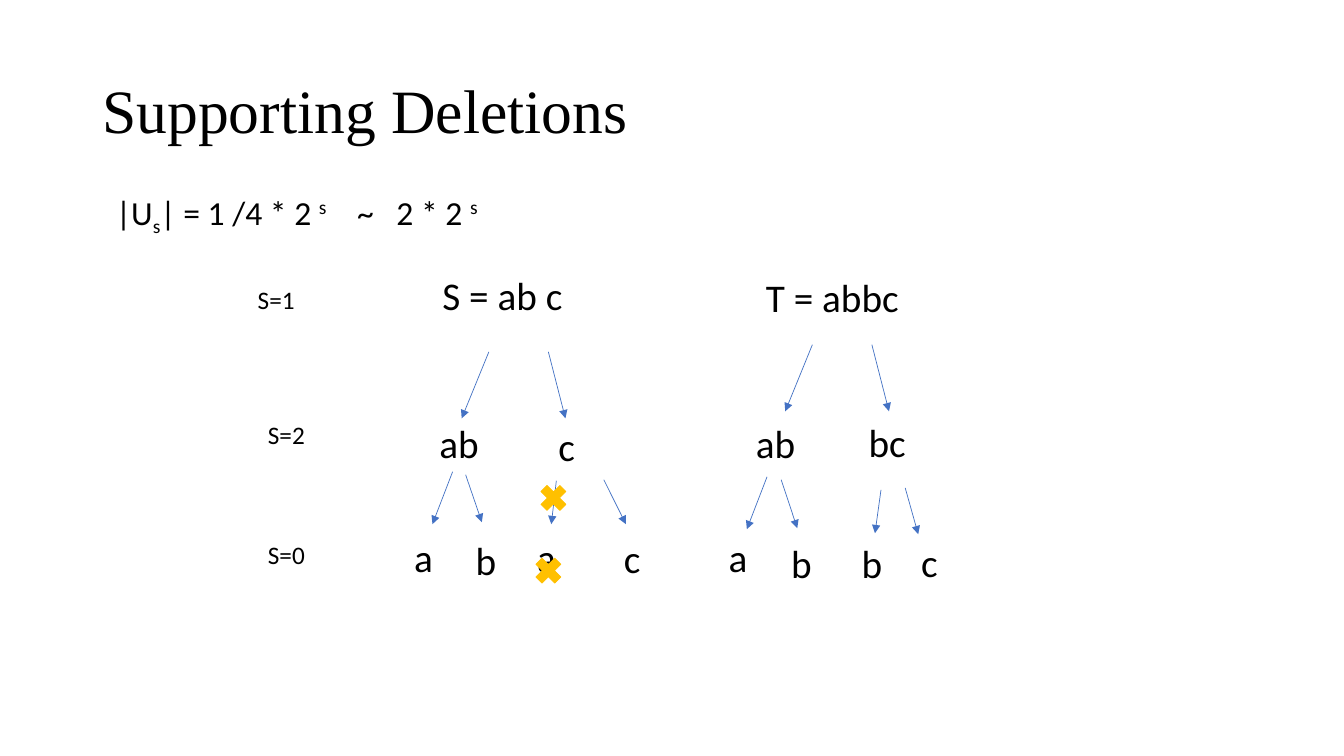
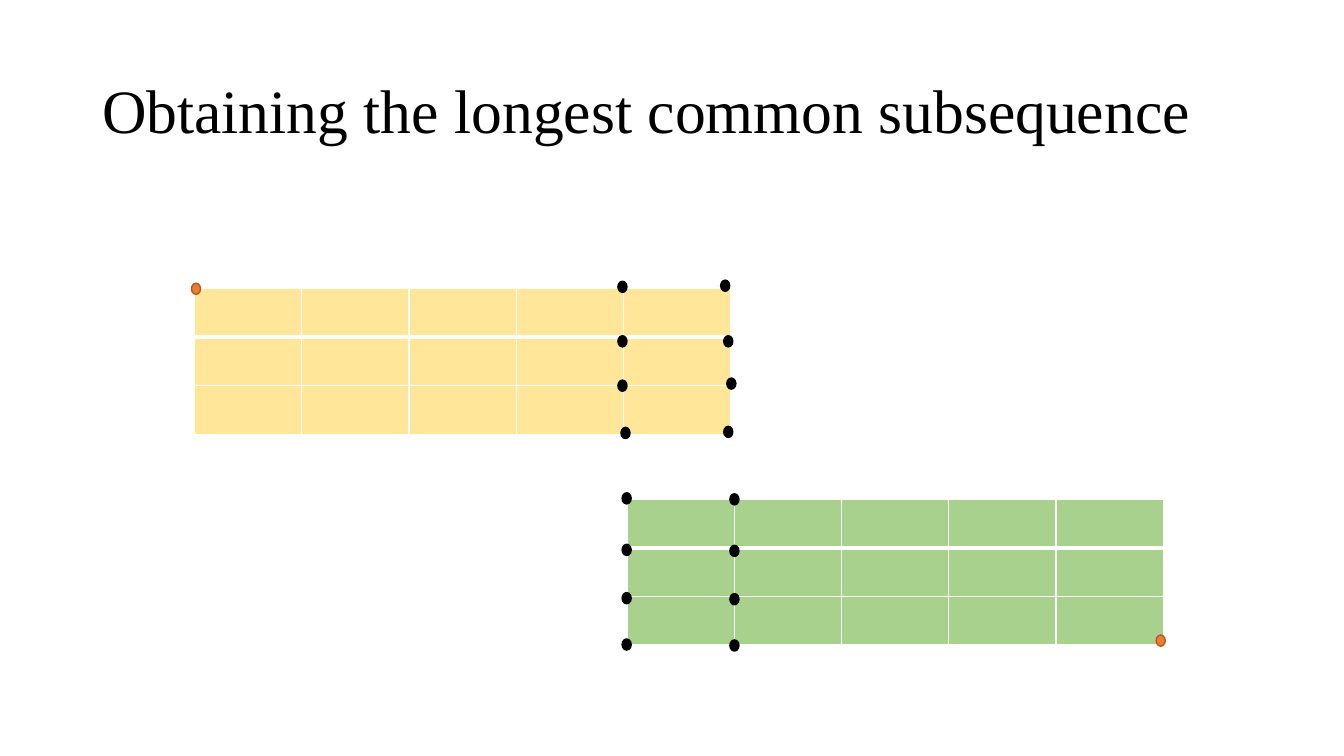
from lxml import etree
from pptx import Presentation
from pptx.dml.color import RGBColor
from pptx.enum.shapes import MSO_CONNECTOR, MSO_SHAPE
from pptx.enum.text import MSO_ANCHOR
from pptx.oxml.ns import qn
from pptx.util import Pt

BLACK = RGBColor(0x00, 0x00, 0x00)
WHITE = RGBColor(0xFF, 0xFF, 0xFF)
BLUE = RGBColor(0x44, 0x72, 0xC4)
GOLD = RGBColor(0xFF, 0xC0, 0x00)
CREAM = RGBColor(0xFF, 0xE6, 0x99)
GREEN = RGBColor(0xA9, 0xD1, 0x8E)
ORANGE = RGBColor(0xED, 0x7D, 0x31)
RUST = RGBColor(0xAF, 0x5C, 0x24)

STRAIGHT = MSO_CONNECTOR.STRAIGHT
CROSS = MSO_SHAPE.MATH_MULTIPLY
OVAL = MSO_SHAPE.OVAL
TOP, MIDDLE = MSO_ANCHOR.TOP, MSO_ANCHOR.MIDDLE

TITLE_FONT, BODY_FONT = "Times New Roman", "Calibri"
BLANK_LAYOUT = 6
COLUMNS, ROWS = 5, 3
COLUMN_WIDTH, ROW_HEIGHT = 76.6, 34.8
DOT_WIDTH, DOT_HEIGHT = 6.5, 8
CROSS_SIZE = 26


# Shared parts
def add_text(page, left, top, width, height, spans, size, font=BODY_FONT,
             anchor=TOP, tabs=()):
    """Place one paragraph; spans are (text, baseline percent) pairs."""
    box = page.shapes.add_textbox(Pt(left), Pt(top), Pt(width), Pt(height))
    frame = box.text_frame
    frame.word_wrap = True
    frame.vertical_anchor = anchor
    para = frame.paragraphs[0]
    if tabs:
        tab_list = etree.SubElement(para._p.get_or_add_pPr(), qn("a:tabLst"))
        for position in tabs:
            etree.SubElement(tab_list, qn("a:tab"), pos=str(Pt(position)), algn="l")
    for text, baseline in spans:
        span = para.add_run()
        span.text = text
        if baseline:
            span._r.get_or_add_rPr().set("baseline", str(baseline * 1000))
    para.font.name = font
    para.font.size = Pt(size)
    para.font.color.rgb = BLACK
    return para


def add_label(page, left, top, text, size=28, width=60):
    add_text(page, left, top, width, size * 1.2 + 7.2, [(text, 0)], size)


def add_mark(page, kind, left, top, width, height, fill, line, weight):
    mark = page.shapes.add_shape(kind, Pt(left), Pt(top), Pt(width), Pt(height))
    mark.shadow.inherit = False
    mark.fill.solid()
    mark.fill.fore_color.rgb = fill
    mark.line.color.rgb = line
    mark.line.width = Pt(weight)


def add_arrow(page, x1, y1, x2, y2):
    arrow = page.shapes.add_connector(STRAIGHT, Pt(x1), Pt(y1), Pt(x2), Pt(y2))
    arrow.line.color.rgb = BLUE
    arrow.line.width = Pt(0.5)
    etree.SubElement(arrow.line._get_or_add_ln(), qn("a:tailEnd"), type="triangle")
    etree.SubElement(arrow._element.spPr, qn("a:effectLst"))


def add_page(deck, title):
    page = deck.slides.add_slide(deck.slide_layouts[BLANK_LAYOUT])
    para = add_text(page, 66, 28.8, 828, 104.4, [(title, 0)], 44, TITLE_FONT, MIDDLE)
    para.line_spacing = 0.9
    return page


# Tree of substrings: all places are relative to its left and top
def add_tree(page, left, top, root, nodes, arrows, crosses=()):
    x, y, text = root
    add_label(page, left + x, top + y, text, width=140)
    for x, y, text in nodes:
        add_label(page, left + x, top + y, text)
    for x1, y1, x2, y2 in arrows:
        add_arrow(page, left + x1, top + y1, left + x2, top + y2)
    for x, y in crosses:
        add_mark(page, CROSS, left + x, top + y, CROSS_SIZE, CROSS_SIZE, GOLD, GOLD, 0.5)


def build_deletions(deck):
    page = add_page(deck, "Supporting Deletions")
    formula = [("|U", 0), ("s", -25), ("| = 1 /4 * 2 ", 0), ("s", 30),
               ("\t~\t2 * 2 ", 0), ("s", 30)]
    add_text(page, 75.6, 133.2, 480, 36, formula, 24, tabs=(172.5, 200.5))

    # Level names
    for x, y, text in [(177, 199.4, "S=1"), (184.3, 296, "S=2"), (184.3, 381.6, "S=0")]:
        add_label(page, x, y, text, size=18)

    add_tree(
        page, 288, 190, (20.9, 0, "S = ab c"),
        nodes=[(18.7, 106, "ab"), (103.7, 108, "c"), (0.7, 187.3, "a"),
               (44.6, 189.4, "b"), (88.6, 187.3, "a"), (150.5, 188, "c")],
        arrows=[(61.2, 61.3, 41.8, 108.8), (103.7, 61.3, 115.9, 108.8),
                (35.3, 147, 20.9, 184.4), (44.6, 149.1, 56.2, 183),
                (109.4, 153.4, 105.8, 184.4), (143.3, 152.7, 159.1, 184.4)],
        crosses=[(90.7, 204.6), (94.3, 152.7)])
    add_tree(
        page, 513, 190, (27, 1.5, "T = abbc"),
        nodes=[(19.8, 106, "ab"), (100.4, 105.2, "bc"), (0.4, 187.3, "a"),
               (45, 191.6, "b"), (95.4, 191.6, "b"), (137.9, 190.9, "c")],
        arrows=[(67.3, 56.2, 47.9, 103.8), (109.8, 56.2, 122, 103.8),
                (34.9, 150.6, 20.5, 188), (45, 152.7, 56.5, 187.3),
                (116.3, 159.9, 112, 190.9), (133.6, 158.5, 142.9, 191.6)])


# Grid with dots: dot centres are relative to its left and top
def style_cell(cell, fill, row):
    borders = {"L": 1, "R": 1, "T": 3 if row == 1 else 1, "B": 3 if row == 0 else 1}
    for side, weight in borders.items():
        line = etree.SubElement(cell._tc.get_or_add_tcPr(), qn("a:ln" + side),
                                w=str(Pt(weight)))
        solid = etree.SubElement(line, qn("a:solidFill"))
        etree.SubElement(solid, qn("a:srgbClr"), val=str(WHITE))
    cell.fill.solid()
    cell.fill.fore_color.rgb = fill


def add_grid(page, left, top, fill, black_dots, orange_dot):
    table = page.shapes.add_table(
        ROWS, COLUMNS, Pt(left), Pt(top),
        Pt(COLUMNS * COLUMN_WIDTH), Pt(ROWS * ROW_HEIGHT)).table
    table.first_row = table.horz_banding = False
    for column in table.columns:
        column.width = Pt(COLUMN_WIDTH)
    for index, row in enumerate(table.rows):
        row.height = Pt(ROW_HEIGHT)
        for cell in row.cells:
            style_cell(cell, fill, index)

    dots = [(dot, BLACK, BLACK) for dot in black_dots] + [(orange_dot, ORANGE, RUST)]
    for (x, y), color, outline in dots:
        add_mark(page, OVAL, left + x - DOT_WIDTH / 2, top + y - DOT_HEIGHT / 2,
                 DOT_WIDTH, DOT_HEIGHT, color, outline, 1)


def build_subsequence(deck):
    page = add_page(deck, "Obtaining the longest common subsequence")
    add_grid(page, 139, 206, CREAM,
             black_dots=[(305.6, -1.1), (305.6, 37.8), (305.6, 69.5), (307.8, 103.3),
                         (379, -1.9), (381.2, 37.8), (383.4, 68), (381.2, 102.5)],
             orange_dot=(1, 0.3))
    add_grid(page, 448, 356.4, GREEN,
             black_dots=[(x, y + shift) for x, shift in [(-0.4, 0), (COLUMN_WIDTH, 0.7)]
                         for y in (-0.4, 36.4, 70.9, 104)],
             orange_dot=(381.1, 101.2))


def main():
    deck = Presentation()
    deck.slide_width, deck.slide_height = Pt(960), Pt(540)
    build_deletions(deck)
    build_subsequence(deck)
    deck.save("out.pptx")


if __name__ == "__main__":
    main()
